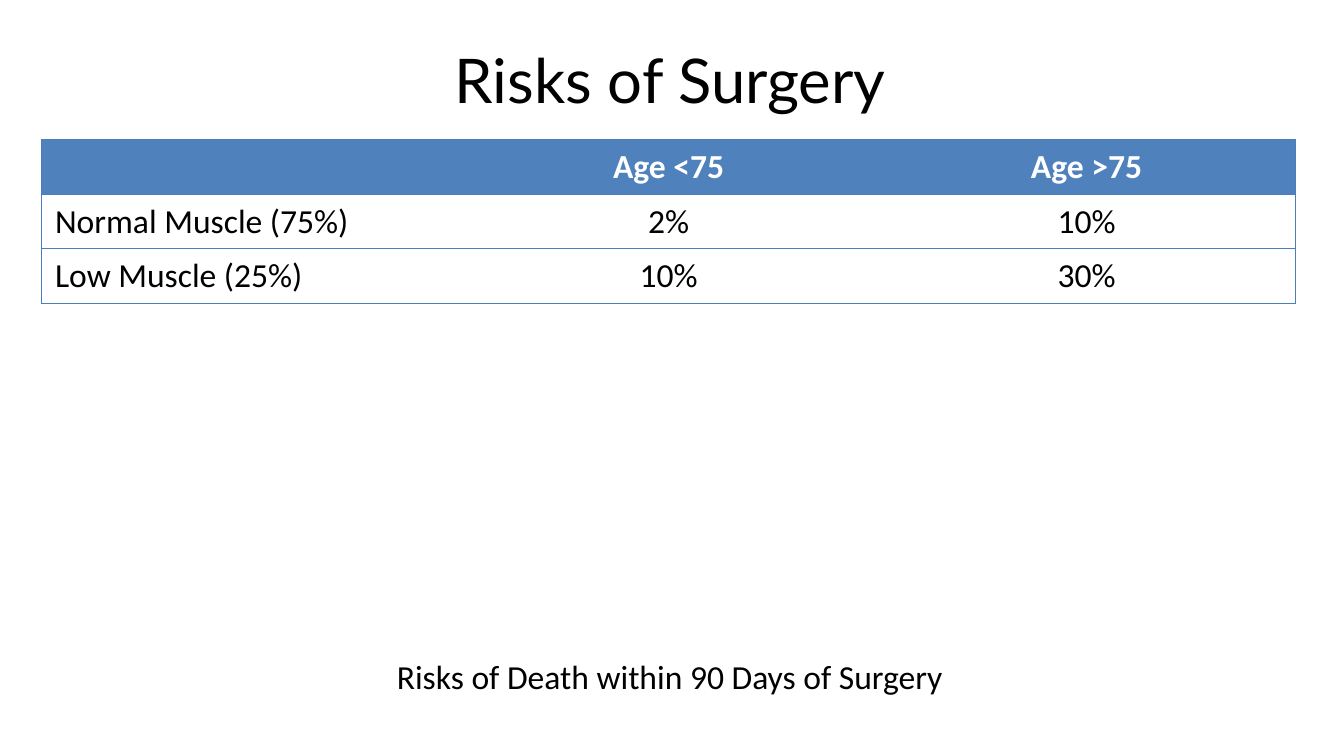
"""Build the slide comparing the risks of surgery by age and muscle mass."""
from dataclasses import dataclass

from lxml.etree import SubElement
from pptx import Presentation
from pptx.dml.color import RGBColor
from pptx.enum.text import MSO_ANCHOR as Anchor, PP_ALIGN as Align
from pptx.oxml.ns import qn
from pptx.util import Inches, Pt

BLACK = RGBColor(0x00, 0x00, 0x00)
WHITE = RGBColor(0xFF, 0xFF, 0xFF)
HEADER_BLUE = RGBColor(0x4F, 0x81, 0xBD)
BORDER_BLUE = RGBColor(0x4B, 0x7E, 0xBC)

SLIDE_WIDTH = Inches(10)
SLIDE_HEIGHT = SLIDE_WIDTH * 9 // 16
MARGIN, CONTENT_WIDTH = Inches(0.31), Inches(9.35)
COLUMN_WIDTH, ROW_HEIGHT = Inches(3.11), Inches(0.4)
PLAIN_TABLE = "{2D5ABB26-0587-4C30-8999-92F81FD0307C}"


@dataclass(frozen=True)
class TextStyle:
    size: float
    font: str = "Calibri"
    color: RGBColor = BLACK
    bold: bool = False
    align: Align = Align.CENTER


@dataclass(frozen=True)
class RiskRow:
    label: str
    younger: str
    older: str


TITLE = TextStyle(33, "Lato")
HEADER = TextStyle(18, color=WHITE, bold=True)
LABEL = TextStyle(18, align=Align.LEFT)
VALUE = TextStyle(18)

RISKS = [
    RiskRow("", "Age <75", "Age >75"),
    RiskRow("Normal Muscle (75%)", "2%", "10%"),
    RiskRow("Low Muscle (25%)", "10%", "30%"),
]


def write(frame, text: str, style: TextStyle) -> None:
    frame.text = text
    paragraph = frame.paragraphs[0]
    paragraph.alignment = style.align
    for run in paragraph.runs:
        run.font.name = style.font
        run.font.size = Pt(style.size)
        run.font.bold = style.bold
        run.font.color.rgb = style.color


def place(shape, top: float, height: float) -> None:
    shape.left, shape.width = MARGIN, CONTENT_WIDTH
    shape.top, shape.height = Inches(top), Inches(height)


def add_borders(cell, sides: list[str]) -> None:
    properties = cell._tc.get_or_add_tcPr()
    for side in sides:
        line = SubElement(properties, qn(f"a:ln{side}"), w=str(Pt(0.75)))
        fill = SubElement(line, qn("a:solidFill"))
        SubElement(fill, qn("a:srgbClr"), val=str(BORDER_BLUE))


def add_risk_table(slide, rows: list[RiskRow], top: float, height: float) -> None:
    columns = 3
    frame = slide.shapes.add_table(
        len(rows), columns, MARGIN, Inches(top),
        COLUMN_WIDTH * columns, ROW_HEIGHT * len(rows))
    place(frame, top, height)
    frame._element.find(f".//{qn('a:tableStyleId')}").text = PLAIN_TABLE
    table = frame.table
    for row_index, risk in enumerate(rows):
        for column, text in enumerate((risk.label, risk.younger, risk.older)):
            cell = table.cell(row_index, column)
            outer = {0: ["L"], columns - 1: ["R"]}.get(column, [])
            add_borders(cell, outer + ["T", "B"])
            if row_index == 0:
                cell.fill.solid()
                cell.fill.fore_color.rgb = HEADER_BLUE
                style = HEADER
            else:
                cell.fill.background()
                style = VALUE if column else LABEL
            write(cell.text_frame, text, style)


def main() -> None:
    deck = Presentation()
    deck.slide_width, deck.slide_height = SLIDE_WIDTH, SLIDE_HEIGHT
    slide = deck.slides.add_slide(deck.slide_layouts[5])

    title = slide.shapes.title
    place(title, 0.23, 0.72)
    title.text_frame.vertical_anchor = Anchor.MIDDLE
    write(title.text_frame, "Risks of Surgery", TITLE)

    add_risk_table(slide, RISKS, 1.04, 3.79)

    caption = slide.shapes.add_textbox(0, 0, 0, 0)
    place(caption, 4.83, 0.56)
    caption.text_frame.word_wrap = True
    write(caption.text_frame, "Risks of Death within 90 Days of Surgery", VALUE)

    deck.save("out.pptx")


if __name__ == "__main__":
    main()
